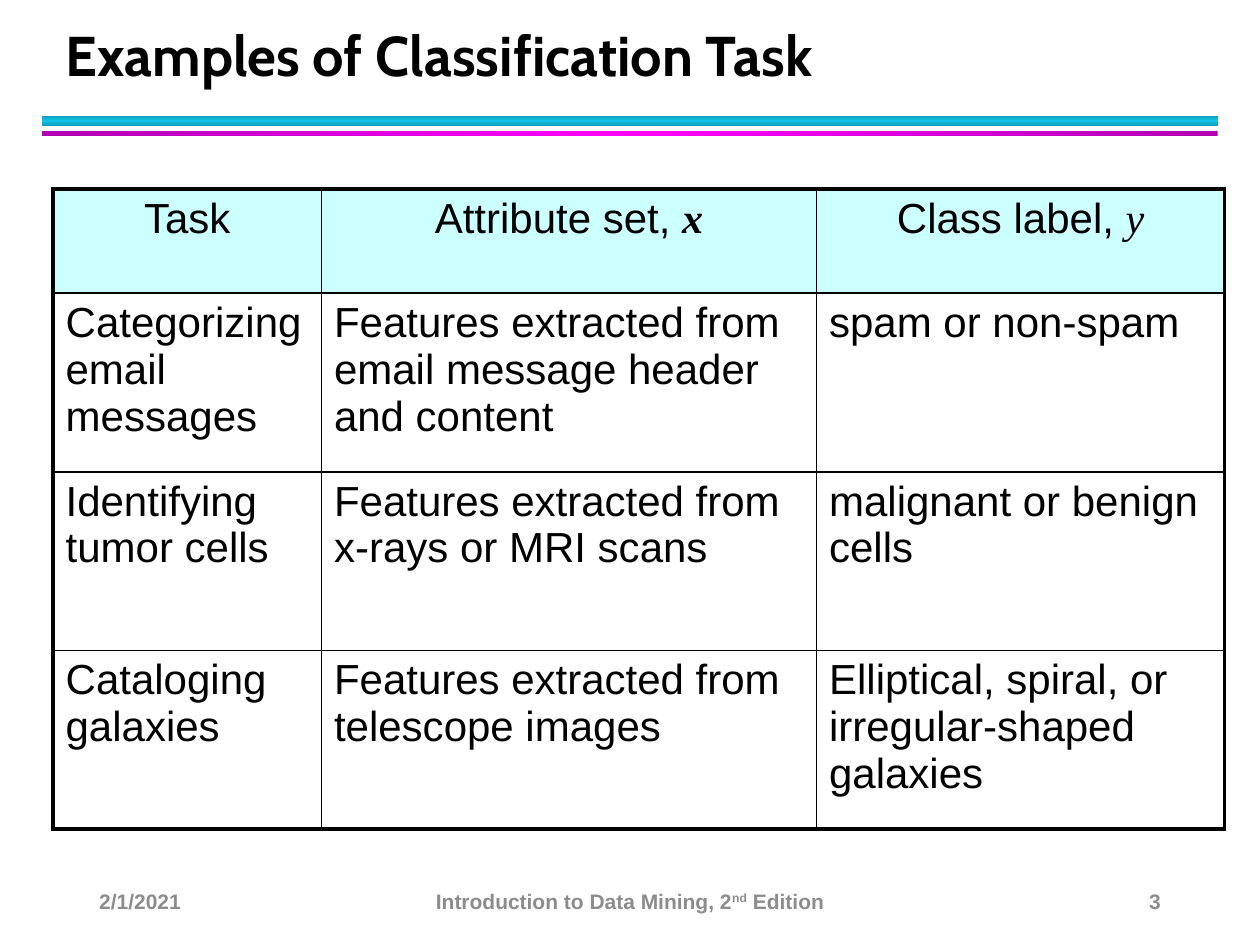
from copy import deepcopy
from dataclasses import dataclass

from lxml import etree
from pptx import Presentation, util as u
from pptx.dml.color import RGBColor
from pptx.enum import shapes, text
from pptx.oxml.ns import qn


@dataclass(frozen=True)
class Theme:
    ink: str = "000000"
    muted: str = "8C8C8C"
    header_fill: str = "CCFFFF"
    body_font: str = "Arial"
    title_font: str = "Cabin"
    math_font: str = "Times New Roman"
    title_size: int = 32
    table_size: int = 24
    footer_size: int = 12
    outer_line: float = 2.25
    inner_line: float = 1


THEME = Theme()
ALIGN = text.PP_ALIGN
ANCHOR = text.MSO_ANCHOR


@dataclass(frozen=True)
class Area:
    left: float
    top: float
    width: float
    height: float

    def lengths(self) -> tuple:
        return tuple(u.Cm(n) for n in (self.left, self.top, self.width, self.height))


@dataclass(frozen=True)
class Span:
    words: str
    font: str = THEME.body_font
    bold: bool = False
    italic: bool = False
    raised: bool = False


@dataclass(frozen=True)
class Rule:
    area: Area
    edge: str
    middle: str
    angle: int


@dataclass(frozen=True)
class Label:
    area: Area
    spans: tuple
    size: int
    color: str
    align: ALIGN = ALIGN.LEFT
    anchor: ANCHOR = ANCHOR.MIDDLE
    line_spacing: float | None = None


def footer(left: float, width: float, align: ALIGN, *spans: Span) -> Label:
    return Label(Area(left, 17.65, width, 1.02), spans,
                 THEME.footer_size, THEME.muted, align)


RULES = (
    Rule(Area(0.85, 2.33, 23.7, 0.21), "0E9BBA", "12C2E9", 90),
    Rule(Area(0.85, 2.65, 23.7, 0.1), "B200B2", "FF00FF", 0),
)
LABELS = (
    Label(Area(1.07, 0.43, 23.01, 1.47),
          (Span("Examples of Classification Task", THEME.title_font, bold=True),),
          THEME.title_size, THEME.ink, anchor=ANCHOR.BOTTOM, line_spacing=36),
    footer(1.75, 5.72, ALIGN.LEFT, Span("2/1/2021", bold=True)),
    footer(8.41, 8.58, ALIGN.CENTER,
           Span("Introduction to Data Mining, 2", bold=True),
           Span("nd", bold=True, raised=True), Span(" Edition", bold=True)),
    footer(17.93, 5.72, ALIGN.RIGHT, Span("3", bold=True)),
)
COLUMNS = (5.41, 9.98, 8.23)
ROWS = (2.1, 3.6, 3.6, 3.6)
TABLE_AREA = Area(1.07, 3.81, sum(COLUMNS), sum(ROWS))
HEADER = (
    (Span("Task"),),
    (Span("Attribute set, "), Span("x", THEME.math_font, bold=True, italic=True)),
    (Span("Class label, "), Span("y", THEME.math_font, italic=True)),
)
BODY = (
    ("Categorizing email messages",
     "Features extracted from email message header and content",
     "spam or non-spam"),
    ("Identifying tumor cells",
     "Features extracted from x-rays or MRI scans",
     "malignant or benign cells"),
    ("Cataloging galaxies",
     "Features extracted from telescope images",
     "Elliptical, spiral, or irregular-shaped galaxies"),
)


def write_spans(para, spans: tuple, size: int, color: str) -> None:
    for span in spans:
        run = para.add_run()
        run.text = span.words
        formats = {"name": span.font, "size": u.Pt(size),
                   "bold": span.bold, "italic": span.italic}
        for name, value in formats.items():
            setattr(run.font, name, value)
        run.font.color.rgb = RGBColor.from_string(color)
        if span.raised:
            run.font._element.set("baseline", "30000")


def draw_rule(page, rule: Rule) -> None:
    bar = page.shapes.add_shape(shapes.MSO_SHAPE.RECTANGLE, *rule.area.lengths())
    bar.shadow.inherit = False
    bar.line.fill.background()
    bar.fill.gradient()
    bar.fill.gradient_angle = rule.angle
    stop_list = next(bar._element.iter(qn("a:gsLst")))
    stop_list.append(deepcopy(stop_list[0]))
    colors = (rule.edge, rule.middle, rule.edge)
    for stop, color, position in zip(bar.fill.gradient_stops, colors, (0, 0.5, 1)):
        stop.color.rgb = RGBColor.from_string(color)
        stop.position = position


def draw_label(page, label: Label) -> None:
    frame = page.shapes.add_textbox(*label.area.lengths()).text_frame
    frame.word_wrap = True
    frame.vertical_anchor = label.anchor
    para = frame.paragraphs[0]
    para.alignment = label.align
    if label.line_spacing:
        para.line_spacing = u.Pt(label.line_spacing)
    write_spans(para, label.spans, label.size, label.color)


def set_borders(cell, outer: dict[str, bool]) -> None:
    """Put the four side lines ahead of the cell's fill, as the schema asks."""
    properties = cell._tc.get_or_add_tcPr()
    for index, (side, is_outer) in enumerate(outer.items()):
        width = THEME.outer_line if is_outer else THEME.inner_line
        line = etree.Element(qn(f"a:ln{side}"), w=str(int(u.Pt(width))))
        fill = etree.SubElement(line, qn("a:solidFill"))
        etree.SubElement(fill, qn("a:srgbClr"), val=THEME.ink)
        properties.insert(index, line)


def set_spacing(para) -> None:
    """Space before is a tenth of a line; space after is fixed."""
    para.space_after = u.Pt(4)
    before = etree.Element(qn("a:spcBef"))
    etree.SubElement(before, qn("a:spcPct"), val="10000")
    next(para._p.iter(qn("a:spcAft"))).addprevious(before)


def draw_table(page) -> None:
    table = page.shapes.add_table(len(ROWS), len(COLUMNS), *TABLE_AREA.lengths()).table
    table.first_row = table.horz_banding = False
    for column, width in zip(table.columns, COLUMNS):
        column.width = u.Cm(width)
    for row, height in zip(table.rows, ROWS):
        row.height = u.Cm(height)
    contents = (HEADER, *(tuple((Span(words),) for words in row) for row in BODY))
    for r, row in enumerate(contents):
        for c, spans in enumerate(row):
            cell = table.cell(r, c)
            para = cell.text_frame.paragraphs[0]
            para.alignment = ALIGN.LEFT if r else ALIGN.CENTER
            set_spacing(para)
            write_spans(para, spans, THEME.table_size, THEME.ink)
            if r:
                cell.fill.background()
            else:
                cell.fill.solid()
                cell.fill.fore_color.rgb = RGBColor.from_string(THEME.header_fill)
            set_borders(cell, {"L": c == 0, "R": c == len(COLUMNS) - 1,
                               "T": r == 0, "B": r == len(ROWS) - 1})


def main() -> None:
    deck = Presentation()
    deck.slide_width, deck.slide_height = u.Cm(25.4), u.Cm(19.05)
    page = deck.slides.add_slide(deck.slide_layouts[6])
    for rule in RULES:
        draw_rule(page, rule)
    draw_table(page)
    for label in LABELS:
        draw_label(page, label)
    deck.save("out.pptx")


if __name__ == "__main__":
    main()
